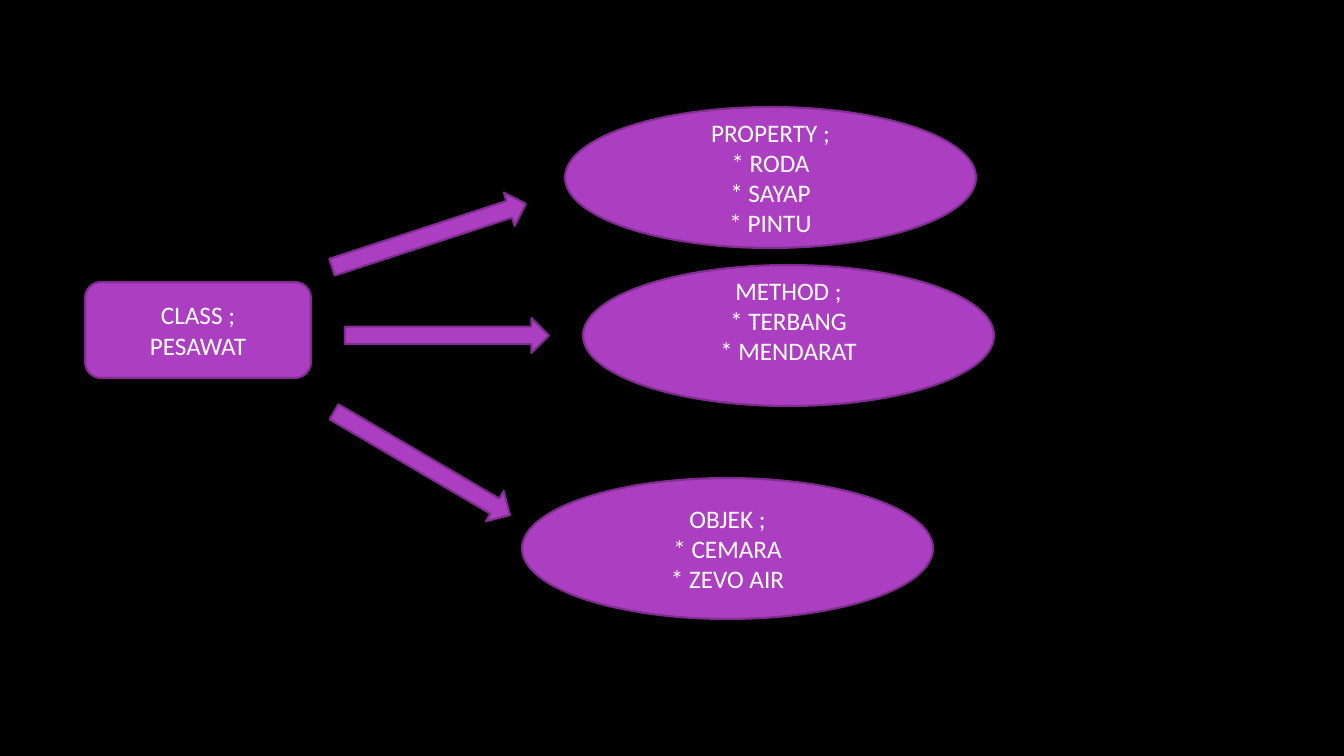
from pptx import Presentation
from pptx.dml.color import RGBColor
from pptx.enum.shapes import MSO_SHAPE
from pptx.enum.text import MSO_ANCHOR, PP_ALIGN
from pptx.util import Emu, Pt

EMU_PER_PX = 914400 / 100.8
SLIDE_SIZE = (1344, 756)
BLACK = RGBColor(0x00, 0x00, 0x00)
PURPLE = RGBColor(0xAC, 0x3E, 0xC1)
DARK_PURPLE = RGBColor(0x7F, 0x2E, 0x8F)
WHITE = RGBColor(0xFF, 0xFF, 0xFF)

ROUNDED = MSO_SHAPE.FLOWCHART_ALTERNATE_PROCESS
ARROW = MSO_SHAPE.RIGHT_ARROW
ELLIPSE = MSO_SHAPE.OVAL
MIDDLE = MSO_ANCHOR.MIDDLE
CENTER = PP_ALIGN.CENTER

ARROW_SIZE = (204, 35)
ELLIPSE_SIZE = (411, 141)
INSET = 5
LINE_HEIGHT = 30
LABEL_FORMAT = {"name": "Calibri", "size": Pt(18)}

DIAGRAM_BOX = (85, 107, 910, 512)
CLASS_PLACE = (0, 175, 226, 96)
CLASS_LINES = ["CLASS ;", "PESAWAT"]
BRANCHES = [
    {"arrow": (242, 111), "angle": 341.9, "ellipse": (480, 0), "spare_lines": 0,
     "lines": ["PROPERTY ;", "* RODA", "* SAYAP", "* PINTU"]},
    {"arrow": (260, 211), "angle": 0, "ellipse": (498, 158), "spare_lines": 1,
     "lines": ["METHOD ;", "* TERBANG", "* MENDARAT"]},
    {"arrow": (235, 339), "angle": 30.4, "ellipse": (437, 371), "spare_lines": 0,
     "lines": ["OBJEK ;", "* CEMARA", "* ZEVO AIR"]},
]


def px(length):
    """Turn pixels into EMU."""
    return Emu(round(length * EMU_PER_PX))


def add_purple_shape(slide, kind, box):
    """Add a purple outlined preset shape in the box."""
    shape = slide.shapes.add_shape(kind, *map(px, box))
    shape.shadow.inherit = False
    shape.fill.solid()
    shape.fill.fore_color.rgb = PURPLE
    shape.line.color.rgb = DARK_PURPLE
    shape.line.width = Pt(1.5)
    return shape


def write_label(shape, lines, spare_lines=0):
    """Write centred lines, leaving room for spare lines below."""
    label = shape.text_frame
    label.word_wrap = True
    label.vertical_anchor = MIDDLE
    label.margin_bottom = px(INSET + spare_lines * LINE_HEIGHT)
    label.text = "\n".join(lines)
    for paragraph in label.paragraphs:
        paragraph.alignment = CENTER
        for run in paragraph.runs:
            run.font.color.rgb = WHITE
            for attribute, value in LABEL_FORMAT.items():
                setattr(run.font, attribute, value)


def add_class_diagram(slide, box):
    """Place the class box, its arrows and its three ellipses."""
    left, top, _, _ = box
    x, y, width, height = CLASS_PLACE
    class_box = add_purple_shape(slide, ROUNDED, (left + x, top + y, width, height))
    write_label(class_box, CLASS_LINES)
    for branch in BRANCHES:
        x, y = branch["arrow"]
        arrow = add_purple_shape(slide, ARROW, (left + x, top + y, *ARROW_SIZE))
        arrow.rotation = branch["angle"]
    for branch in BRANCHES:
        x, y = branch["ellipse"]
        ellipse = add_purple_shape(slide, ELLIPSE, (left + x, top + y, *ELLIPSE_SIZE))
        write_label(ellipse, branch["lines"], branch["spare_lines"])


def main():
    """Build and save the slide."""
    deck = Presentation()
    deck.slide_width, deck.slide_height = map(px, SLIDE_SIZE)
    slide = deck.slides.add_slide(deck.slide_layouts[6])
    slide.background.fill.solid()
    slide.background.fill.fore_color.rgb = BLACK
    add_class_diagram(slide, DIAGRAM_BOX)
    deck.save("out.pptx")


if __name__ == "__main__":
    main()
